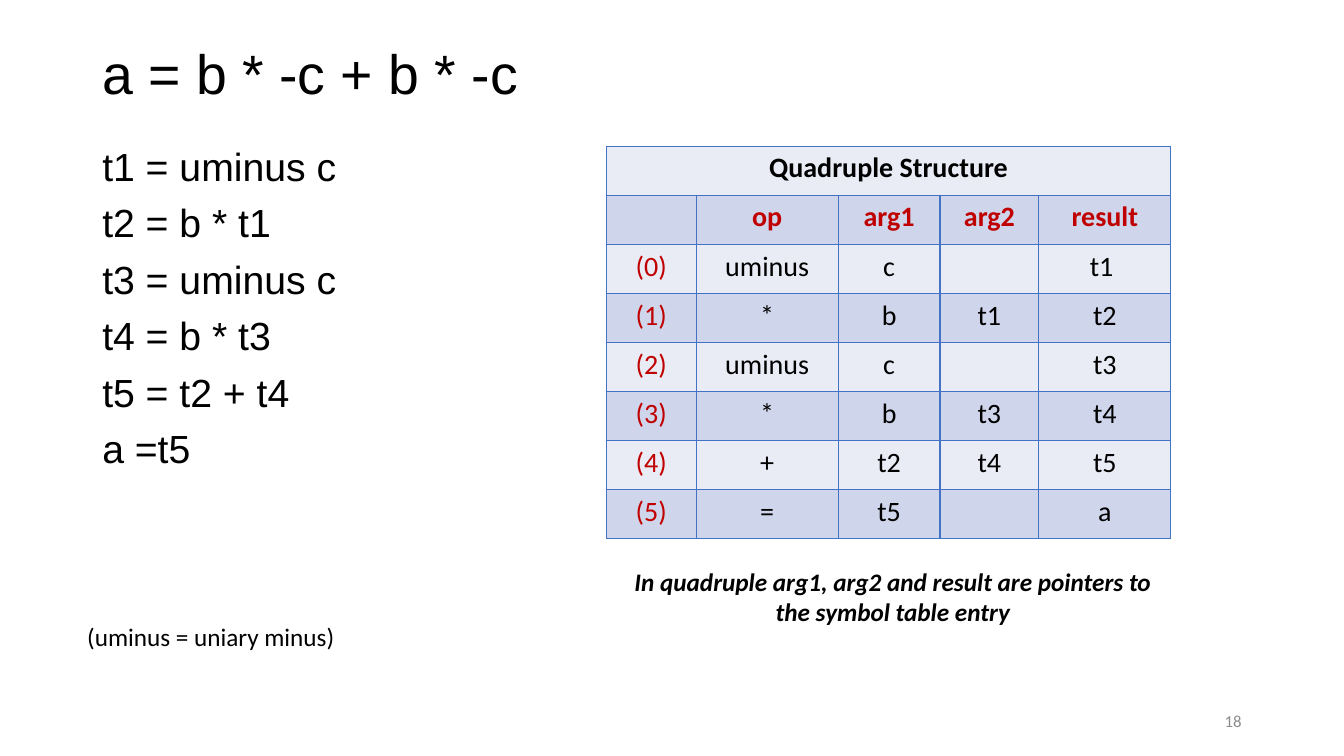
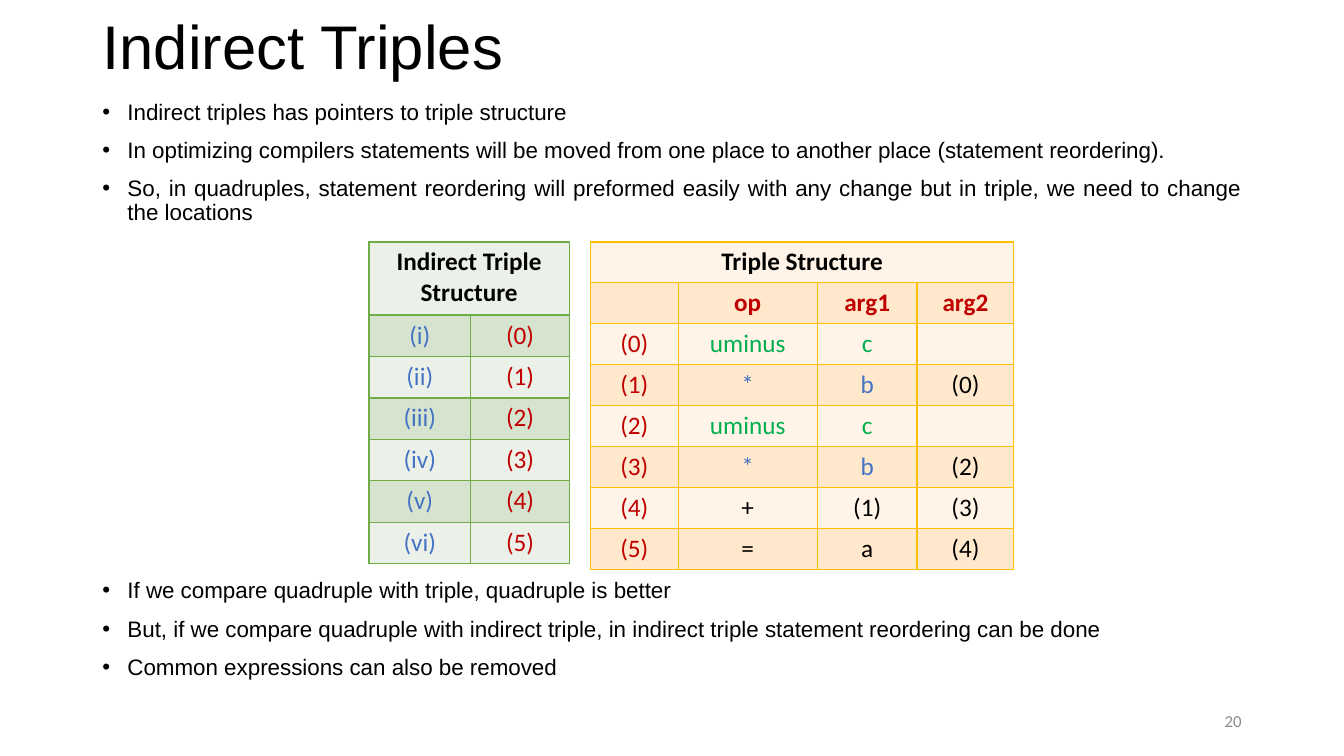
"""Build two slides on quadruples and indirect triples."""
from lxml.etree import SubElement
from pptx import Presentation
from pptx.dml.color import RGBColor
from pptx.enum.text import MSO_ANCHOR as Anchor, MSO_AUTO_SIZE as Fit, PP_ALIGN as Align
from pptx.oxml import parse_xml
from pptx.oxml.ns import nsdecls, qn
from pptx.util import Inches, Pt

BLACK = RGBColor(0x00, 0x00, 0x00)
GREY = RGBColor(0x8C, 0x8C, 0x8C)
RED = RGBColor(0xC0, 0x00, 0x00)
GREEN = RGBColor(0x00, 0xB0, 0x50)
BLUE = RGBColor(0x44, 0x72, 0xC4)
GOLD = RGBColor(0xFF, 0xC0, 0x00)
LEAF = RGBColor(0x70, 0xAD, 0x47)
ICE = (RGBColor(0xE9, 0xEB, 0xF5), RGBColor(0xCF, 0xD5, 0xEA))
CREAM = (RGBColor(0xFF, 0xF4, 0xE7), RGBColor(0xFF, 0xE8, 0xCC))
MINT = (RGBColor(0xEB, 0xF1, 0xE9), RGBColor(0xD5, 0xE3, 0xCF))

COLS, ROWS = 80, 45
LEFT, WIDE = 5.5, 69
HEAD, BODY = "Arial", "Calibri"


def unit(n):
    """Turn grid cells, each a sixth of an inch, into a length."""
    return Inches(n / 6)


class Deck:
    """Hold the style and the current slide."""

    def __init__(self):
        """Start an empty wide deck."""
        self.show = Presentation()
        self.show.slide_width = unit(COLS)
        self.show.slide_height = unit(ROWS)

    def style(self, para, size, face=BODY, color=BLACK, bold=False, slant=False):
        """Set the font of a paragraph."""
        font = para.font
        font.size, font.name = Pt(size), face
        font.bold, font.italic = bold, slant
        font.color.rgb = color

    def page(self, title, top, high, size, number):
        """Add a slide with its title and page number."""
        self.slide = self.show.slides.add_slide(self.show.slide_layouts[5])
        shape = self.slide.shapes.title
        shape.left, shape.top = unit(LEFT), unit(top)
        shape.width, shape.height = unit(WIDE), unit(high)
        frame = shape.text_frame
        frame.text = title
        frame.auto_size = Fit.NONE
        frame.vertical_anchor = Anchor.MIDDLE
        para = frame.paragraphs[0]
        para.alignment, para.line_spacing = Align.LEFT, 0.9
        self.style(para, size, HEAD)
        self.note(number, 56.5, 41.7, 18, 2.4, 12, Align.RIGHT,
                  Anchor.MIDDLE, color=GREY)

    def frame(self, left, top, wide, high):
        """Add a wrapping text box and return its frame."""
        box = self.slide.shapes.add_textbox(
            unit(left), unit(top), unit(wide), unit(high))
        box.text_frame.word_wrap = True
        return box.text_frame

    def note(self, text, left, top, wide, high, size=18, align=Align.LEFT,
             anchor=Anchor.TOP, **look):
        """Add one paragraph of free text."""
        frame = self.frame(left, top, wide, high)
        frame.text, frame.vertical_anchor = text, anchor
        para = frame.paragraphs[0]
        para.alignment = align
        self.style(para, size, **look)

    def lines(self, texts, top, high, size, bullet=False):
        """Add a body list, with or without bullets."""
        frame = self.frame(LEFT, top, WIDE, high)
        frame.text = "\n".join(texts)
        for para in frame.paragraphs:
            if bullet:
                self.bullet(para)
            para.line_spacing, para.space_before = 0.9, Pt(10)
            self.style(para, size, HEAD)

    def bullet(self, para):
        """Give a justified paragraph a hanging bullet."""
        para.alignment = Align.JUSTIFY
        props = para._p.get_or_add_pPr()
        props.set("marL", str(Inches(0.25)))
        props.set("indent", str(-Inches(0.25)))
        SubElement(props, qn("a:buFont")).set("typeface", HEAD)
        SubElement(props, qn("a:buChar")).set("char", "•")

    def table(self, rows, left, top, wides, highs, size, edge, bands, tones, tint=None):
        """Add a banded table whose first row is a merged caption."""
        tint = tint or {}
        grid = self.slide.shapes.add_table(
            len(rows), len(wides), unit(left), unit(top),
            unit(sum(wides)), unit(sum(highs))).table
        grid.first_row = grid.horz_banding = False
        for col, wide in zip(grid.columns, wides):
            col.width = unit(wide)
        for line, high in zip(grid.rows, highs):
            line.height = unit(high)
        for r, row in enumerate(rows):
            bold = row[0] == "" or r == 0
            for c, tone in enumerate(tones):
                cell = grid.cell(r, c)
                cell.fill.solid()
                cell.fill.fore_color.rgb = bands[r % 2]
                self.edges(cell, edge)
                text = row[c] if c < len(row) else ""
                if text:
                    color = tint.get(text, tone)
                    if bold:
                        color = RED if r else BLACK
                    cell.text = text
                    para = cell.text_frame.paragraphs[0]
                    para.alignment = Align.CENTER
                    self.style(para, size, color=color, bold=bold)
        grid.cell(0, 0).merge(grid.cell(0, len(wides) - 1))

    def edges(self, cell, color):
        """Draw a thin line on each side of a cell."""
        props = cell._tc.get_or_add_tcPr()
        for spot, side in enumerate("LRTB"):
            props.insert(spot, parse_xml(
                f'<a:ln{side} {nsdecls("a")} w="{Pt(1)}"><a:solidFill>'
                f'<a:srgbClr val="{color}"/></a:solidFill></a:ln{side}>'))


def quads(deck):
    """Build the quadruple slide."""
    deck.page("a = b * -c + b * -c", 2.4, 4.3, 39.6, "18")
    deck.lines(["t1 = uminus c", "t2 = b * t1", "t3 = uminus c",
                "t4 = b * t3", "t5 = t2 + t4", "a =t5"], 8.5, 32, 28)
    rows = [["Quadruple Structure"],
            ["", "op", "arg1", "arg2", "result"],
            ["(0)", "uminus", "c", "", "t1 "],
            ["(1)", "*", "b", "t1", "t2"],
            ["(2)", "uminus", "c", "", "t3"],
            ["(3)", "*", "b", "t3", "t4"],
            ["(4)", "+", "t2", "t4", "t5"],
            ["(5)", "=", "t5", "", "a"]]
    deck.table(rows, 36.1, 8.7, [5.34, 8.46, 6.06, 5.88, 7.86], [2.92] * 8,
               20, BLUE, ICE, [RED] + [BLACK] * 4)
    deck.note("In quadruple arg1, arg2 and result are pointers to the symbol table entry",
              36.55, 33.4, 33.2, 4.25, align=Align.CENTER, bold=True, slant=True)
    deck.note("(uminus = uniary minus)", 4.6, 36.7, 40, 2.4)


def triples(deck):
    """Build the indirect triple slide."""
    deck.page("Indirect Triples", -1.4, 8.7, 44, "20")
    deck.lines(["Indirect triples has pointers to triple structure",
                "In optimizing compilers statements will be moved from one place "
                "to another place (statement reordering). ",
                "So, in quadruples, statement reordering will preformed easily with "
                "any change but in triple, we need to change the locations"],
               5.7, 8.5, 16, True)
    rows = [["Triple Structure"],
            ["", "op", "arg1", "arg2"],
            ["(0)", "uminus", "c", ""],
            ["(1)", "*", "b", "(0)"],
            ["(2)", "uminus", "c", ""],
            ["(3)", "*", "b", "(2)"],
            ["(4)", "+", "(1)", "(3)"],
            ["(5)", "=", "a", "(4)"]]
    tint = {"uminus": GREEN, "c": GREEN, "*": BLUE, "b": BLUE}
    deck.table(rows, 35.15, 14.4, [5.22, 8.28, 5.94, 5.76], [2.44] * 8,
               18, GOLD, CREAM, [RED] + [BLACK] * 3, tint)
    marks = ["i", "ii", "iii", "iv", "v", "vi"]
    rows = [["Indirect Triple Structure"]]
    rows += [[f"({mark})", f"({n})"] for n, mark in enumerate(marks)]
    deck.table(rows, 21.96, 14.4, [6.06, 5.88], [4.35] + [2.47] * 6,
               18, LEAF, MINT, [BLUE, RED])
    deck.lines(["If we compare quadruple with triple, quadruple is better",
                "But, if we compare quadruple with indirect triple, in indirect "
                "triple statement reordering can be done ",
                "Common expressions can also be removed"], 34.2, 7.5, 16, True)


def main():
    """Build and save the deck."""
    deck = Deck()
    quads(deck)
    triples(deck)
    deck.show.save("out.pptx")


if __name__ == "__main__":
    main()
